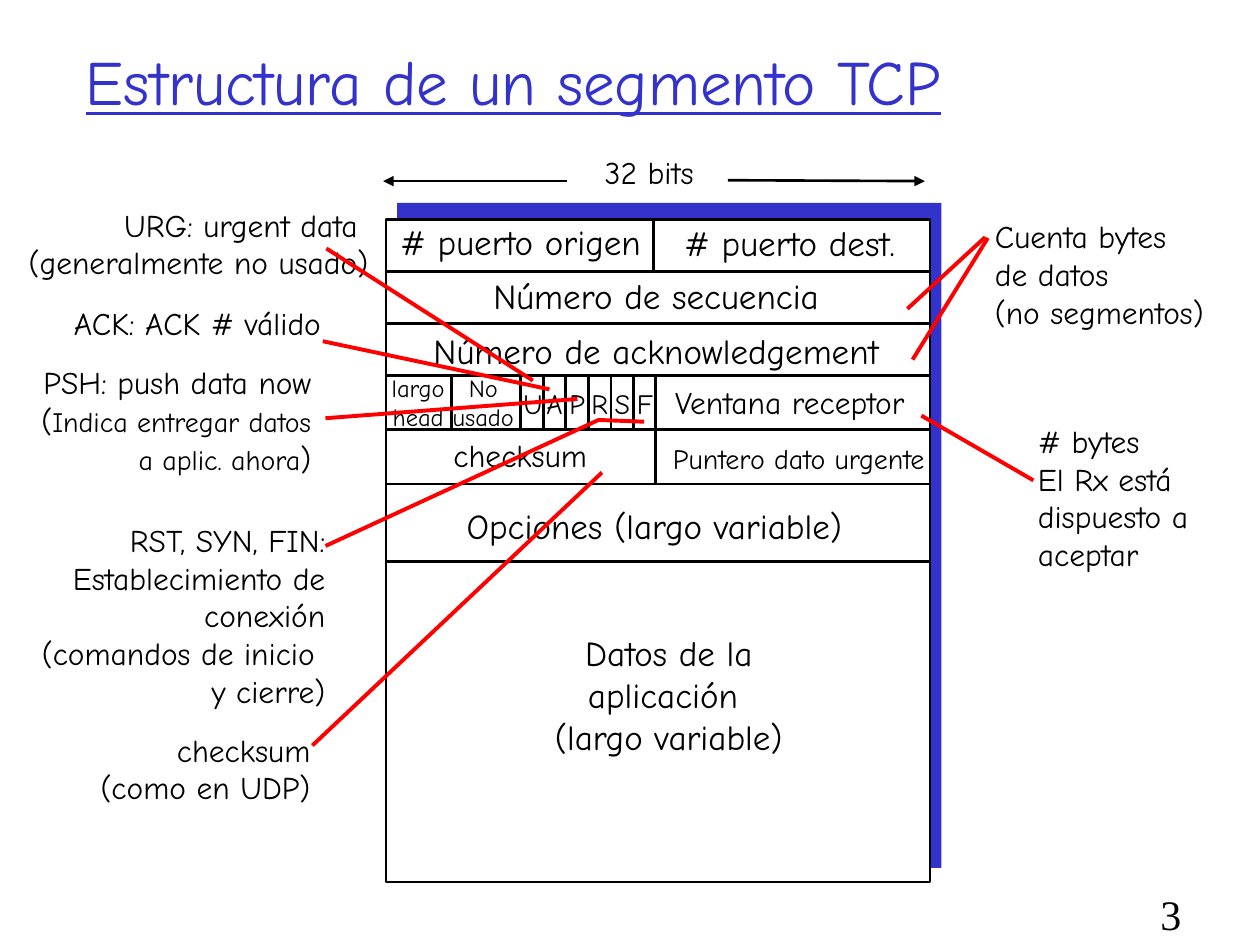
from dataclasses import dataclass
from typing import Union

import pptx
import pptx.dml.color
import pptx.enum.shapes
import pptx.enum.text
import pptx.oxml
import pptx.oxml.ns
import pptx.util

COLORS = {"black": "000000", "white": "FFFFFF", "blue": "3333CC", "red": "FF0000"}
FONT = "Comic Neue"
ALIGN = pptx.enum.text.PP_ALIGN
ANCHOR = pptx.enum.text.MSO_ANCHOR


@dataclass
class Span:
    text: str
    size: float


@dataclass
class Label:
    left: float
    top: float
    width: float
    height: float
    paragraphs: tuple[Union[str, tuple[Span, ...]], ...]
    size: float = 18
    align: ALIGN = ALIGN.CENTER
    wrap: bool = False
    color: str = "black"
    font: str = FONT
    underline: bool = False
    anchor: ANCHOR = ANCHOR.TOP


@dataclass
class Stroke:
    x1: float
    y1: float
    x2: float
    y2: float
    color: str = "black"
    weight: float = 1.5
    arrow: bool = False


def rgb(name: str) -> pptx.dml.color.RGBColor:
    return pptx.dml.color.RGBColor.from_string(COLORS[name])


def draw_label(page, label: Label) -> None:
    box = page.shapes.add_textbox(*map(pptx.util.Pt, (label.left, label.top, label.width, label.height)))
    frame = box.text_frame
    frame.word_wrap = label.wrap
    frame.vertical_anchor = label.anchor
    if not label.wrap:
        frame.auto_size = pptx.enum.text.MSO_AUTO_SIZE.SHAPE_TO_FIT_TEXT
    for index, content in enumerate(label.paragraphs):
        para = frame.add_paragraph() if index else frame.paragraphs[0]
        para.alignment = label.align
        spans = (Span(content, label.size),) if isinstance(content, str) else content
        for span in spans:
            for number, line in enumerate(span.text.split("\n")):
                if number:
                    para.add_line_break()
                run = para.add_run()
                run.text = line
                run.font.size = pptx.util.Pt(span.size)
                run.font.name = label.font
                run.font.underline = label.underline
                run.font.color.rgb = rgb(label.color)


def draw_stroke(page, stroke: Stroke) -> None:
    ends = map(pptx.util.Pt, (stroke.x1, stroke.y1, stroke.x2, stroke.y2))
    line = page.shapes.add_connector(pptx.enum.shapes.MSO_CONNECTOR.STRAIGHT, *ends)
    line.line.color.rgb = rgb(stroke.color)
    line.line.width = pptx.util.Pt(stroke.weight)
    if stroke.arrow:
        tail = pptx.oxml.parse_xml(f'<a:tailEnd {pptx.oxml.ns.nsdecls("a")} type="triangle"/>')
        line.line._get_or_add_ln().append(tail)
    line._element.spPr.append(pptx.oxml.parse_xml(f'<a:effectLst {pptx.oxml.ns.nsdecls("a")}/>'))


def draw_panel(page, left: float, top: float, width: float, height: float, fill: str, outline: str) -> None:
    panel = page.shapes.add_shape(pptx.enum.shapes.MSO_SHAPE.RECTANGLE,
                                  *map(pptx.util.Pt, (left, top, width, height)))
    panel.shadow.inherit = False
    panel.fill.solid()
    panel.fill.fore_color.rgb = rgb(fill)
    if outline:
        panel.line.color.rgb = rgb(outline)
        panel.line.width = pptx.util.Pt(1.5)
    else:
        panel.line.fill.background()


def draw_bent_callout(page, points: list[tuple[float, float]]) -> None:
    builder = page.shapes.build_freeform(*points[0], scale=pptx.util.Pt(1))
    builder.add_line_segments(points[1:], close=False)
    callout = builder.convert_to_shape()
    callout.shadow.inherit = False
    callout.fill.background()
    callout.line.color.rgb = rgb("red")
    callout.line.width = pptx.util.Pt(2.25)


# Segment grid
LEFT, RIGHT, TOP, BOTTOM = 220.5, 531.5, 125.5, 504
ROWS = [155, 185, 214.5, 245.5, 276.5, 321]
FLAG_LEFT, FLAG_STEP = 297.5, 12.9
SPLIT = 374.5
FLAGS = "UAPRSF"

grid = [Stroke(LEFT, y, RIGHT, y) for y in ROWS]
grid += [Stroke(SPLIT - 1, TOP, SPLIT - 1, ROWS[0]), Stroke(SPLIT, ROWS[2], SPLIT, ROWS[4])]
flag_edges = [FLAG_LEFT + FLAG_STEP * index for index in range(len(FLAGS))]
grid += [Stroke(x, ROWS[2], x, ROWS[3]) for x in [258, *flag_edges]]

# Width of the segment
grid += [Stroke(416, 103, 528.5, 103.5, arrow=True), Stroke(324, 103.5, 219, 103.5, arrow=True)]

title = Label(42, 15.5, 612, 61, ("Estructura de un segmento TCP",), 36, ALIGN.LEFT, True,
              "blue", underline=True, anchor=ANCHOR.MIDDLE)

fields = [
    Label(331, 84, 80, 29, ("32 bits",)),
    Label(221, 122.5, 153, 31.5, ("# puerto origen",), 20),
    Label(383.5, 123, 135.5, 31.5, ("# puerto dest.",), 20),
    Label(252, 153.5, 246, 31.5, ("Número de secuencia",), 20),
    Label(222, 185, 306, 31.5, ("Número de acknowledgement",), 20),
    Label(216.5, 209.5, 45, 41, ("largo", "head"), 14),
    Label(251.5, 209.5, 49.5, 41, ("No\nusado",), 14),
    Label(377.5, 215.5, 147.5, 29, ("Ventana receptor",)),
    Label(252, 245.5, 90.5, 29, ("checksum",)),
    Label(376.5, 248.5, 160, 26.5, ("Puntero dato urgente",), 16),
    Label(259, 285, 230, 31.5, ("Opciones (largo variable)",), 20),
    Label(309.5, 357.5, 145.5, 79, ("Datos de la\naplicación ", "(largo variable)"), 20),
]
fields += [Label(x - 5.5, 217.5, 24, 26.5, (flag,), 16) for x, flag in zip(flag_edges, FLAGS)]

# Explanations on both sides
notes = [
    Label(8.5, 114, 209, 50.5, ("URG: urgent data ", "(generalmente no usado)"), align=ALIGN.RIGHT),
    Label(34.5, 170, 156, 29, ("ACK: ACK # válido",), align=ALIGN.RIGHT),
    Label(16, 204, 169, 72,
          ("PSH: push data now",
           (Span("(", 18), Span("Indica entregar datos\na aplic. ahora", 16), Span(")", 18))),
          align=ALIGN.RIGHT),
    Label(16.5, 294, 176.5, 115,
          ("RST, SYN, FIN:", "Establecimiento de\nconexión", "(comandos de inicio \ny cierre)"),
          align=ALIGN.RIGHT),
    Label(40.5, 414, 144, 50.5, ("checksum", "(como en UDP)"), align=ALIGN.RIGHT),
    Label(586, 237.5, 106, 93.5, ("# bytes", "El Rx está\ndispuesto a\naceptar"), align=ALIGN.LEFT),
    Label(561.5, 120.5, 138, 72, ("Cuenta bytes", "de datos", "(no segmentos)"), align=ALIGN.LEFT),
]
page_number = Label(656, 504, 40, 36, ("3",), 24, ALIGN.LEFT, True, font="Times New Roman")

# Red lines from explanation to field
CALLOUTS = [
    (186.5, 142, 304.5, 217.5),
    (184.5, 195, 314, 222.5),
    (186, 239, 330, 228),
    (178.5, 426, 344, 270),
    (590.5, 274.5, 526.5, 237.5),
    (564.5, 136, 521.5, 205.5),
    (563, 135.5, 518.5, 176.5),
]
BENT_CALLOUT = [(186, 312), (342, 239.5), (368, 241)]


def main() -> None:
    deck = pptx.Presentation()
    deck.slide_width, deck.slide_height = pptx.util.Pt(720), pptx.util.Pt(540)
    page = deck.slides.add_slide(deck.slide_layouts[6])

    draw_label(page, title)
    draw_panel(page, 227, 116, 311, 380, "blue", "")
    draw_panel(page, LEFT, TOP, RIGHT - LEFT, BOTTOM - TOP, "white", "black")
    for stroke in grid:
        draw_stroke(page, stroke)
    for label in fields + notes + [page_number]:
        draw_label(page, label)
    for ends in CALLOUTS:
        draw_stroke(page, Stroke(*ends, color="red", weight=2.25))
    draw_bent_callout(page, BENT_CALLOUT)

    deck.save("out.pptx")


if __name__ == "__main__":
    main()
